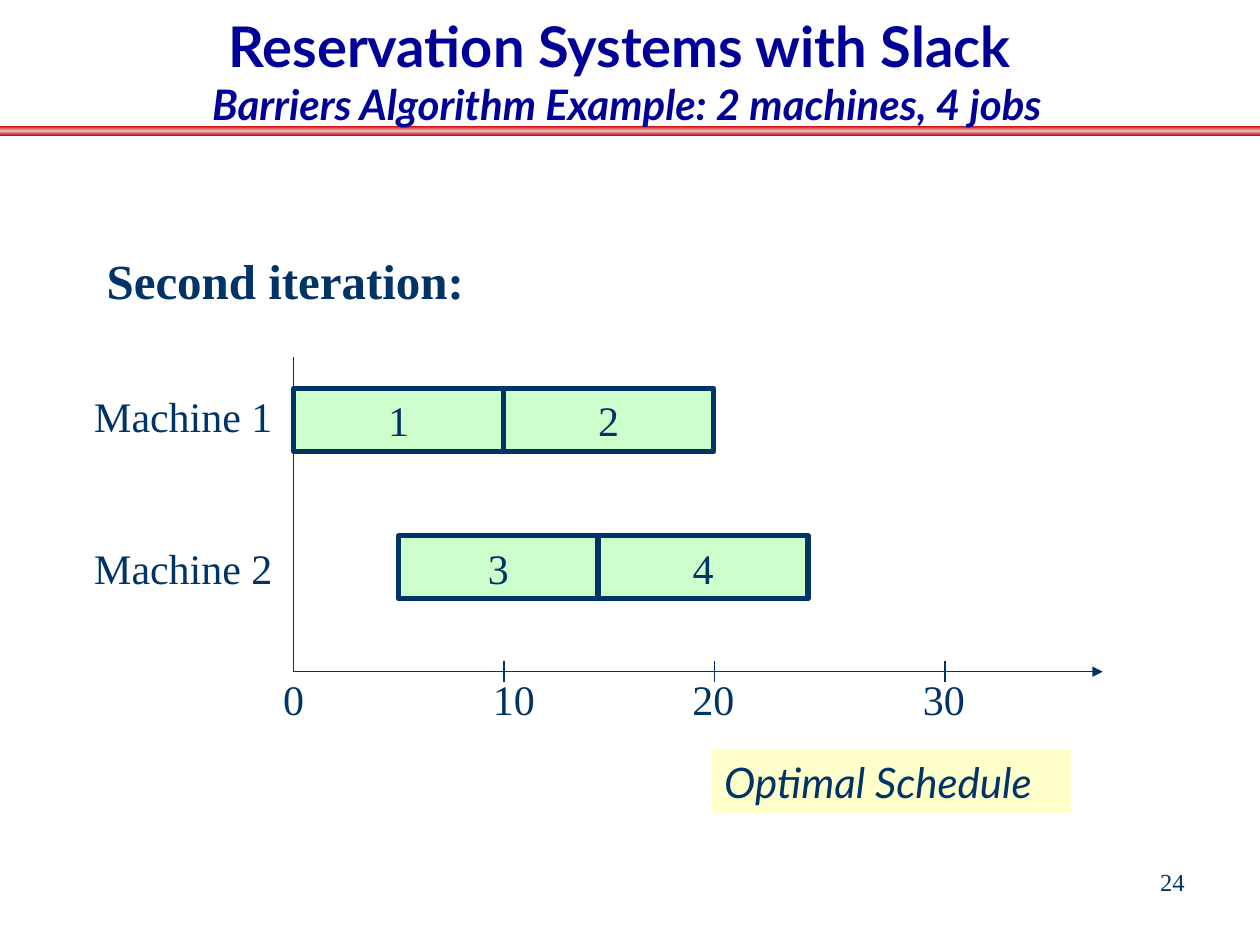
import copy

import pptx
import pptx.chart.data
import pptx.dml.color
import pptx.enum.shapes
import pptx.enum.text
import pptx.oxml
import pptx.oxml.ns
import pptx.util

Cm, Pt = pptx.util.Cm, pptx.util.Pt
SHAPE = pptx.enum.shapes.MSO_SHAPE
ALIGN = pptx.enum.text.PP_ALIGN
ANCHOR = pptx.enum.text.MSO_ANCHOR
qn = pptx.oxml.ns.qn

COLORS = {"ink": "003366", "title": "000099", "job": "CCFFCC",
          "note": "FFFFCC", "red": "CC0000", "pink": "E7BCBC"}
SERIF, SANS = "Times New Roman", "Lato"

TITLE = "Reservation Systems with Slack "
SUB = "Barriers Algorithm Example: 2 machines, 4 jobs"
HEAD = "Second iteration:"
NOTE = "Optimal Schedule"
PAGE = "24"

# machine, top of label, top of bars, jobs as (name, start, end)
ROWS = [
    ("Machine 1", 7.75, 7.83, [("1", 0, 10), ("2", 10, 20)]),
    ("Machine 2", 10.82, 10.8, [("3", 5, 14.5), ("4", 14.5, 24.5)]),
]
# label, centre of label, place of tick (none at the origin)
MARKS = [("0", 5.92, None), ("10", 10.36, 10.16),
         ("20", 14.38, 14.4), ("30", 19.03, 19.05)]

LEFT, BASE = 5.92, 13.54    # origin of the axes
UNIT = 0.42333              # width of one time unit
BAR = 1.27                  # height of a job


def rgb(name):
    return pptx.dml.color.RGBColor.from_string(COLORS[name])


def style(run, size, font=SERIF, color="ink", bold=False, italic=False):
    run.font.size, run.font.name = Pt(size), font
    run.font.color.rgb = rgb(color)
    run.font.bold, run.font.italic = bold, italic


def text(x, y, w, h, words, size, align=ALIGN.LEFT, **look):
    box = slide.shapes.add_textbox(Cm(x), Cm(y), Cm(w), Cm(h))
    box.text_frame.word_wrap = True
    box.text_frame.text = words
    para = box.text_frame.paragraphs[0]
    para.alignment = align
    style(para.runs[0], size, **look)
    return box


def rect(x, y, w, h, fill=None, line=None):
    box = slide.shapes.add_shape(SHAPE.RECTANGLE, Cm(x), Cm(y), Cm(w), Cm(h))
    box.shadow.inherit = False
    if fill:
        box.fill.solid()
        box.fill.fore_color.rgb = rgb(fill)
    if line:
        box.line.color.rgb, box.line.width = rgb("ink"), Pt(line)
    else:
        box.line.fill.background()
    return box


def label(box, words, align, **look):
    box.text_frame.text = words
    para = box.text_frame.paragraphs[0]
    para.alignment = align
    style(para.runs[0], 24, **look)


def line(x1, y1, x2, y2, arrow=False):
    rule = slide.shapes.add_connector(
        pptx.enum.shapes.MSO_CONNECTOR.STRAIGHT,
        Cm(x1), Cm(y1), Cm(x2), Cm(y2))
    rule.line.color.rgb, rule.line.width = rgb("ink"), Pt(0.75)
    if arrow:
        tail = pptx.oxml.parse_xml(
            '<a:tailEnd xmlns:a="http://schemas.openxmlformats.org/'
            'drawingml/2006/main" type="triangle"/>')
        rule.line._get_or_add_ln().append(tail)
    props = rule._element.spPr
    props.append(props.makeelement(qn("a:effectLst"), {}))


def band():
    """Draw the red rule under the title, lighter along its middle."""
    box = rect(0, 2.54, 25.4, 0.2)
    box.fill.gradient()
    box.fill.gradient_angle = 90
    first, last = box.fill.gradient_stops
    first.color.rgb = last.color.rgb = rgb("red")
    first.position, last.position = 0, 1
    stops = box._element.spPr.find(".//" + qn("a:gsLst"))
    stops.insert(1, copy.deepcopy(stops[0]))
    mid = box.fill.gradient_stops[1]
    mid.position, mid.color.rgb = 0.5, rgb("pink")


deck = pptx.Presentation()
deck.slide_width, deck.slide_height = Cm(25.4), Cm(19.05)
slide = deck.slides.add_slide(deck.slide_layouts[6])

band()
text(18.21, 17.35, 5.92, 1.32, PAGE, 14, ALIGN.RIGHT)

line(LEFT, BASE, 22.23, BASE, arrow=True)
line(LEFT, BASE, LEFT, 7.2)
for name, mid, tick in MARKS:
    text(mid - 1, 13.46, 2, BAR, name, 24, ALIGN.CENTER)
    if tick:
        line(tick, BASE - 0.21, tick, BASE + 0.21)

for name, top, y, jobs in ROWS:
    text(1.65, top, 4.2, BAR, name, 24)
    for job, start, end in jobs:
        box = rect(LEFT + start * UNIT, y, (end - start) * UNIT, BAR, "job", 3)
        box.text_frame.vertical_anchor = ANCHOR.MIDDLE
        label(box, job, ALIGN.CENTER)

note = rect(14.35, 15.12, 7.24, BAR, "note")
note.text_frame.vertical_anchor = ANCHOR.TOP
label(note, NOTE, ALIGN.LEFT, font=SANS, italic=True)
text(1.9, 4.93, 8, 1.45, HEAD, 28, bold=True)

title = text(0.43, 0, 24.41, 2.72, TITLE + "\v" + SUB, 32, ALIGN.CENTER,
             font=SANS, color="title", bold=True)
title.text_frame.vertical_anchor = ANCHOR.BOTTOM
style(title.text_frame.paragraphs[0].runs[1], 24, SANS, "title", True, True)

deck.save("out.pptx")
